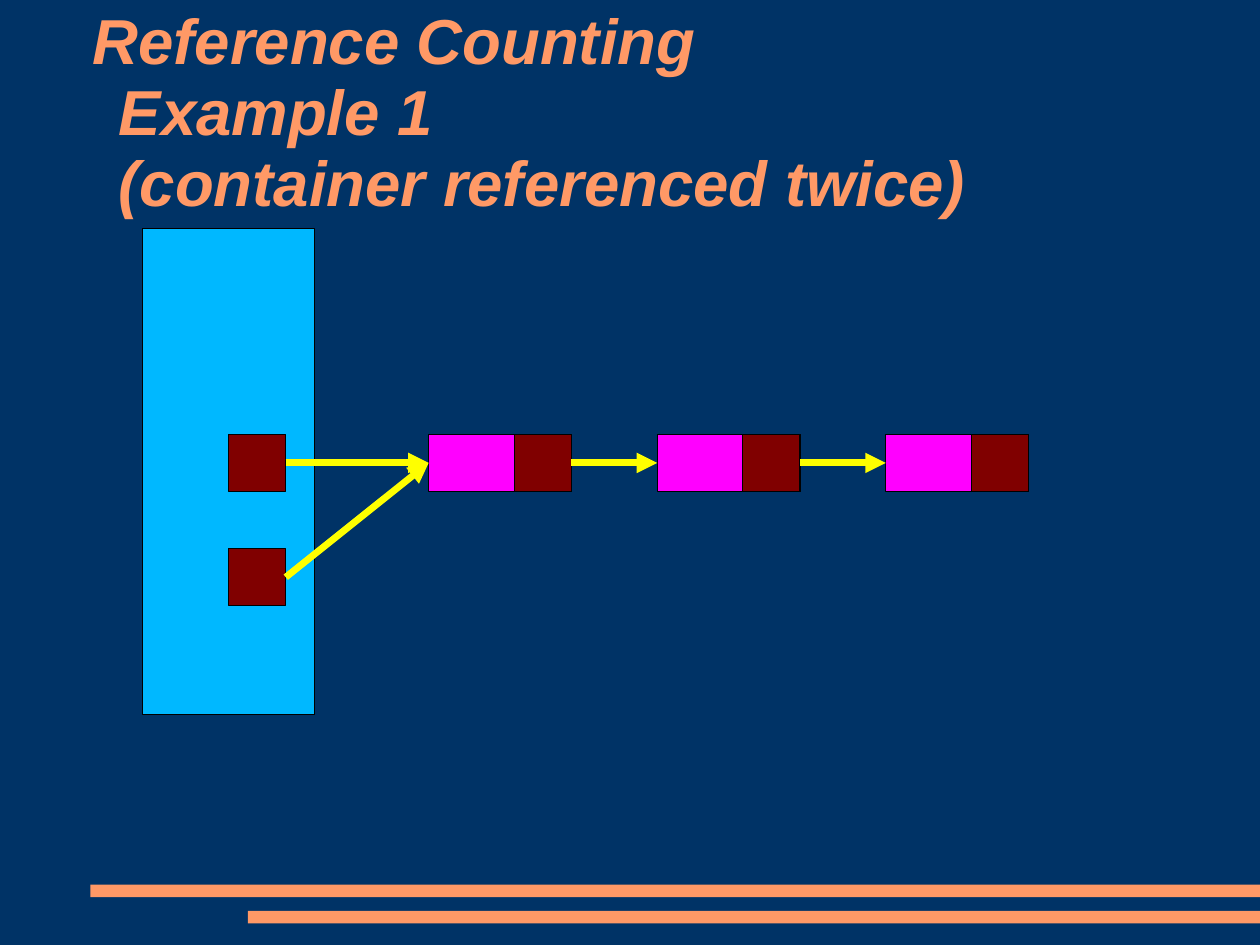
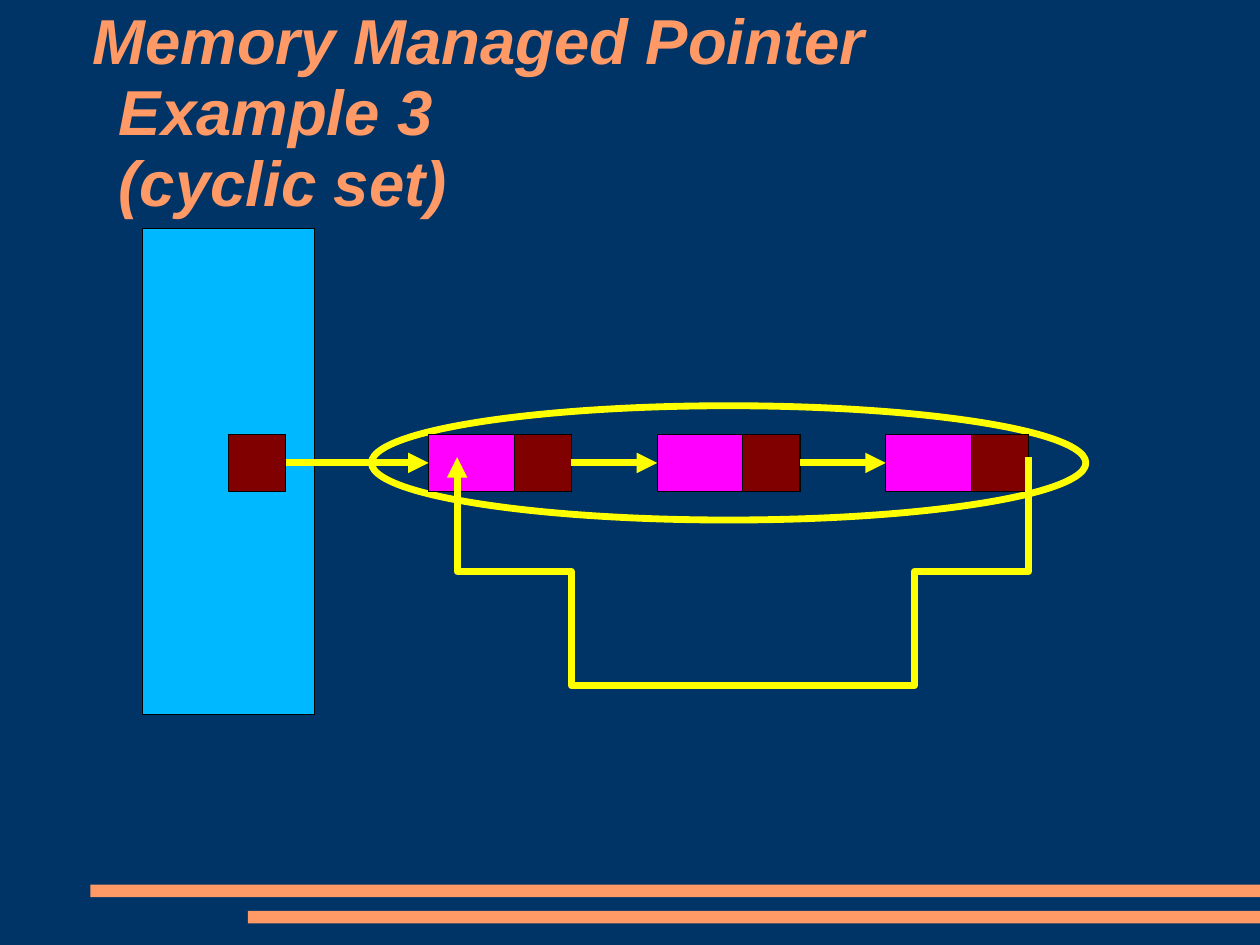
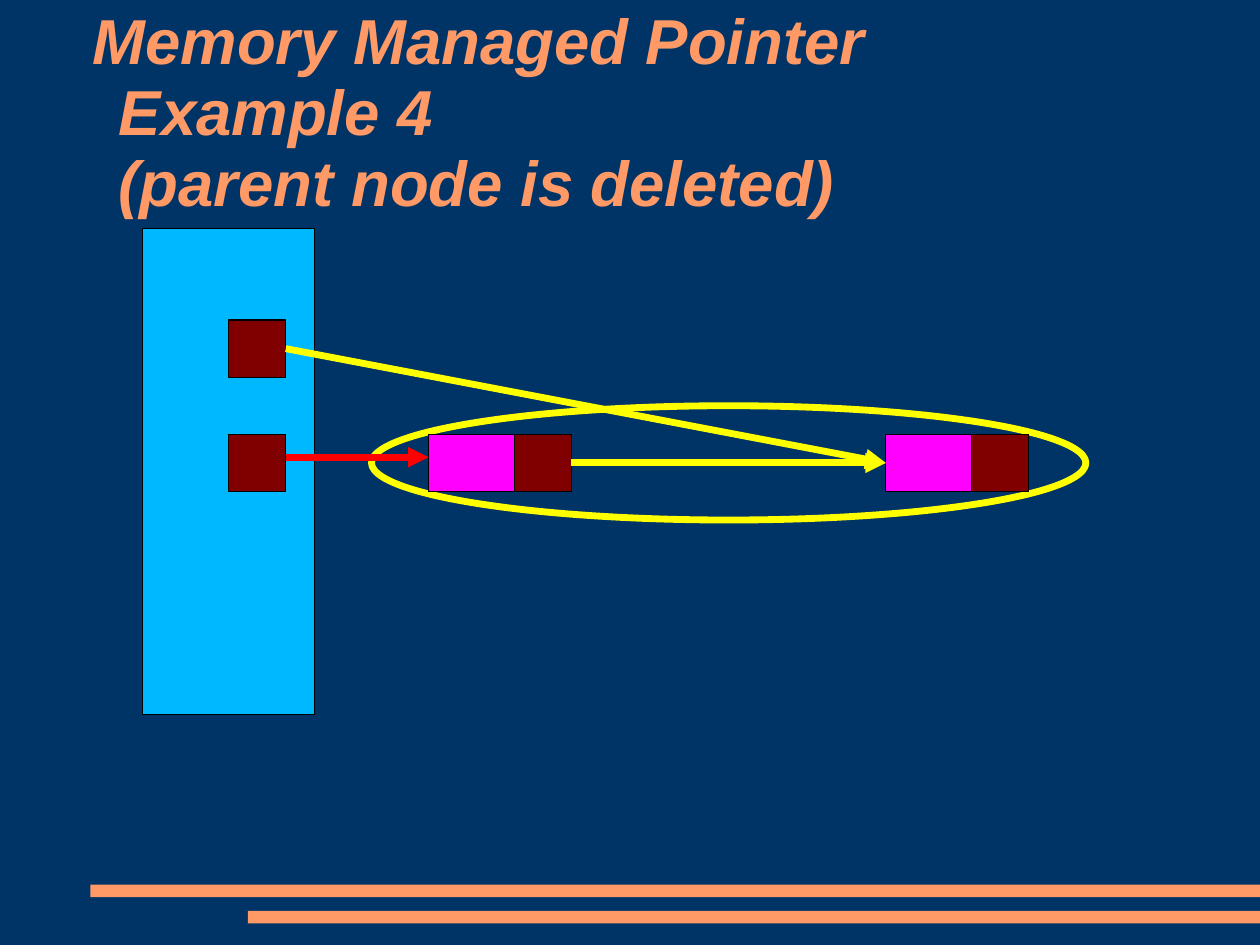
from copy import deepcopy
from dataclasses import dataclass

from lxml.etree import SubElement
from pptx import Presentation
from pptx.dml.color import RGBColor
from pptx.enum.shapes import MSO_CONNECTOR, MSO_SHAPE
from pptx.enum.text import MSO_ANCHOR, MSO_AUTO_SIZE, PP_ALIGN
from pptx.oxml.ns import qn
from pptx.util import Cm, Inches, Pt


@dataclass(frozen=True)
class Theme:
    """Colours, type and line widths shared by all slides."""
    back: str = "003366"
    accent: str = "FF9966"
    heap: str = "00B8FF"
    data: str = "FF00FF"
    pointer: str = "800000"
    link: str = "FFFF00"
    dead_link: str = "FF0000"
    outline: str = "000000"
    font: str = "Arial"
    title_size: float = 40
    thin: float = 0.75
    thick: float = 4.31


T = Theme()
W, H = Cm(28), Cm(21)
TITLE_BOX = (0.81, 0.07, 9.41, 1.86)
DIAGRAM_BOX = (1.25, 2, 7.75, 4.25)
BARS = ((0.79, 7.74), (2.17, 7.97))
BAR_H = 0.11
CELL = 0.5
NODE_W = 1.25
NODE_STEP = 2
STACK_W = 1.5
ROW_Y = 0.8
LIST_ROW = 1
CURVE_STEPS = 48


def rgb(color):
    """Return the colour object for a hex string."""
    return RGBColor.from_string(color)


def write(tf, text, size=T.title_size, color=T.accent, bold=True, italic=True,
          spacing=0.93, hang=0.23):
    """Fill a text frame with one hanging paragraph; newlines become breaks."""
    tf.word_wrap = True
    tf.auto_size = MSO_AUTO_SIZE.NONE
    tf.vertical_anchor = MSO_ANCHOR.MIDDLE
    tf.margin_left = tf.margin_right = tf.margin_top = tf.margin_bottom = 0
    p = tf.paragraphs[0]
    p.text = text.replace("\n", "\v")
    p.alignment = PP_ALIGN.LEFT
    p.line_spacing = spacing
    pPr = p._p.get_or_add_pPr()
    pPr.set("marL", str(Inches(hang)))
    pPr.set("indent", str(-Inches(hang)))
    for r in p.runs:
        f = r.font
        f.name, f.size, f.bold, f.italic = T.font, Pt(size), bold, italic
        f.color.rgb = rgb(color)
    for br in p._p.findall(qn("a:br")):
        br.append(deepcopy(p.runs[0]._r.rPr))


def paint(sp, fill=None, line=None, width=T.thin):
    """Set the fill and outline of a shape and drop its shadow."""
    sp.shadow.inherit = False
    if fill:
        sp.fill.solid()
        sp.fill.fore_color.rgb = rgb(fill)
    else:
        sp.fill.background()
    if line:
        sp.line.color.rgb = rgb(line)
        sp.line.width = Pt(width)
    else:
        sp.line.fill.background()
    return sp


def add_box(s, x, y, w, h, kind=MSO_SHAPE.RECTANGLE, **style):
    """Add a preset shape, sized in inches."""
    sp = s.shapes.add_shape(kind, Inches(x), Inches(y), Inches(w), Inches(h))
    return paint(sp, **style)


def add_head(sp):
    """Put a triangle at the end of a line."""
    SubElement(sp._element.spPr.find(qn("a:ln")), qn("a:tailEnd"),
               type="triangle")


def add_arrow(s, start, end, color=T.link):
    """Add a straight arrow between two points."""
    c = s.shapes.add_connector(MSO_CONNECTOR.STRAIGHT,
                               *(Inches(v) for v in (*start, *end)))
    c.line.color.rgb = rgb(color)
    c.line.width = Pt(T.thick)
    add_head(c)
    SubElement(c._element.spPr, qn("a:effectLst"))


def add_curve(s, start, control, end):
    """Add a quadratic curve that ends in an arrowhead."""
    def at(t):
        return tuple((1 - t) ** 2 * a + 2 * t * (1 - t) * b + t * t * c
                     for a, b, c in zip(start, control, end))
    fb = s.shapes.build_freeform(*start, scale=Inches(1))
    fb.add_line_segments([at(i / CURVE_STEPS)
                          for i in range(1, CURVE_STEPS + 1)], close=False)
    add_head(paint(fb.convert_to_shape(), line=T.link, width=T.thick))


def add_cell(s, x, y):
    """Add a pointer cell and return the middle of its right side."""
    add_box(s, x, y, CELL, CELL, fill=T.pointer, line=T.outline)
    return x + CELL, y + CELL / 2


def add_node(s, x, y):
    """Add a list node and return its entry and exit points."""
    add_box(s, x, y, NODE_W, CELL, fill=T.data, line=T.outline)
    return (x, y + CELL / 2), add_cell(s, x + NODE_W - CELL, y)


def add_diagram(s, box, rows, columns, refs, grouped=False, cyclic=False,
                dead_row=None):
    """Draw stack cells, the node list and the references between them."""
    x, y, w, h = box
    list_y = y + ROW_Y + LIST_ROW
    if grouped:
        add_box(s, x + 2, list_y - 0.25, 6.25, 1, MSO_SHAPE.OVAL,
                line=T.link, width=T.thick)
    add_box(s, x, y, STACK_W, h, fill=T.heap, line=T.outline)
    cells = {row: add_cell(s, x + STACK_W / 2, y + ROW_Y + row) for row in rows}
    nodes = {col: add_node(s, x + 2.5 + col * NODE_STEP, list_y)
             for col in columns}
    for a, b in zip(columns, columns[1:]):
        add_arrow(s, nodes[a][1], nodes[b][0])
    if cyclic:
        first, last = nodes[columns[0]][0], nodes[columns[-1]][1]
        add_curve(s, last, (x + 5, first[1] + 3.7), first)
    for row, col in refs:
        start, end = cells[row], nodes[col][0]
        if row == dead_row:
            start, end = ((px, py - 0.05) for px, py in (start, end))
        add_arrow(s, start, end, T.dead_link if row == dead_row else T.link)


def add_title(s, box, text):
    """Move the title placeholder into a box and fill it."""
    sp = s.shapes.title
    sp.left, sp.top, sp.width, sp.height = (Inches(v) for v in box)
    write(sp.text_frame, text)


def style_master(prs, s):
    """Give the master its background and the two footer bars."""
    master = prs.slide_master
    master.background.fill.solid()
    master.background.fill.fore_color.rgb = rgb(T.back)
    for x, y in BARS:
        bar = add_box(s, x, y, W.inches - x, BAR_H, fill=T.accent)
        master.shapes.element.append(bar._element)


SLIDES = (
    ("Reference Counting\nExample 1\n(container referenced twice)",
     dict(rows=(1, 2), columns=(0, 1, 2), refs=((1, 0), (2, 0)))),
    ("Memory Managed Pointer\nExample 3\n(cyclic set)",
     dict(rows=(1,), columns=(0, 1, 2), refs=((1, 0),), grouped=True,
          cyclic=True)),
    ("Memory Managed Pointer\nExample 4\n(parent node is deleted)",
     dict(rows=(0, 1), columns=(0, 2), refs=((0, 2), (1, 0)), grouped=True,
          dead_row=1)),
)


def main():
    """Build and save the presentation."""
    prs = Presentation()
    prs.slide_width, prs.slide_height = W, H
    for i, (title, diagram) in enumerate(SLIDES):
        s = prs.slides.add_slide(prs.slide_layouts[5])
        if i == 0:
            style_master(prs, s)
        add_title(s, TITLE_BOX, title)
        add_diagram(s, DIAGRAM_BOX, **diagram)
    prs.save("out.pptx")


if __name__ == "__main__":
    main()
